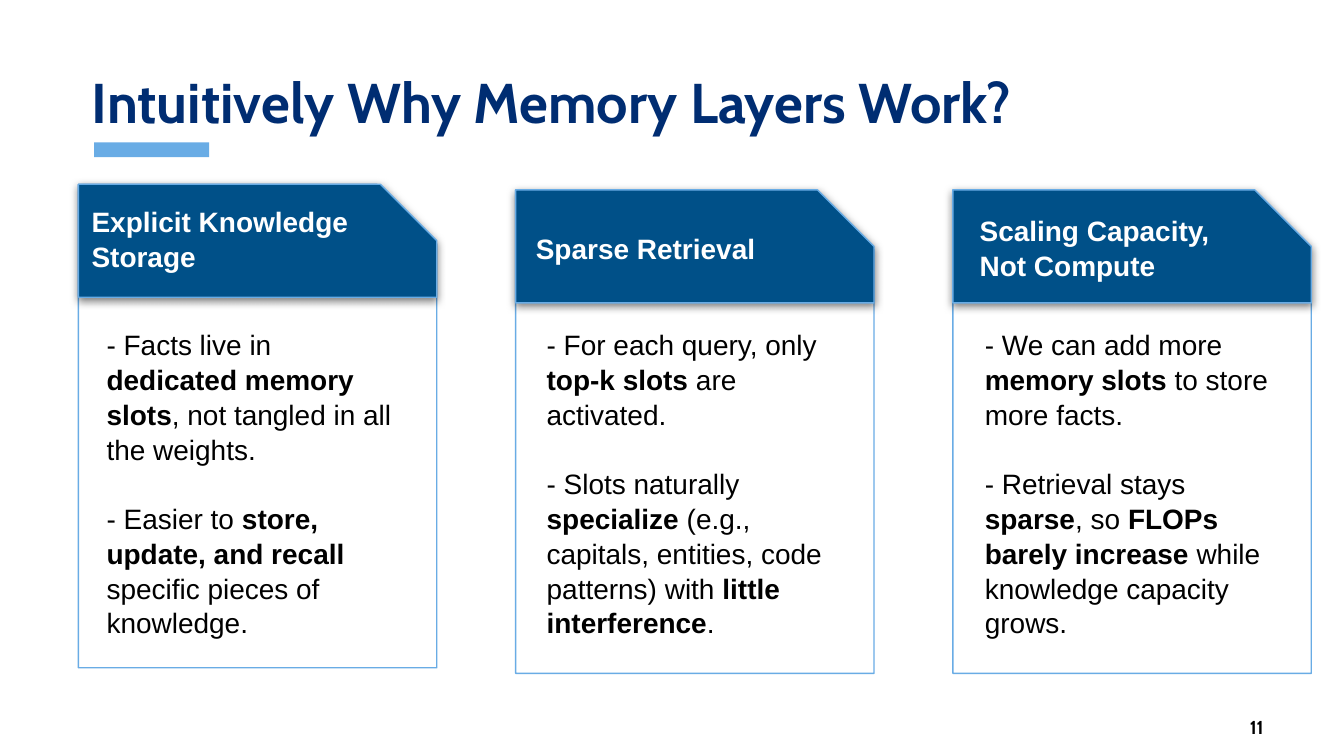
from lxml import etree
from pptx import Presentation
from pptx.dml.color import RGBColor
from pptx.enum.shapes import MSO_SHAPE
from pptx.enum.text import MSO_ANCHOR, MSO_AUTO_SIZE, PP_ALIGN
from pptx.oxml.ns import qn
from pptx.util import Pt

COLORS = {
    "navy": "002D72",
    "header": "005088",
    "sky": "69ACE5",
    "white": "FFFFFF",
    "black": "000000",
}

CARD_LEFT, CARD_STEP = 42, 234.25
CARD_WIDTH, CARD_HEIGHT, HEADER_HEIGHT = 192, 259, 60.5

CARDS = [
    {
        "top": 98.75,
        "header": [[("Explicit Knowledge", True)], [("Storage", True)]],
        "header_offset": (0, 2.75),
        "body_offset": (8, 69),
        "body": [
            [("- Facts live in ", False), ("dedicated memory slots", True),
             (", not tangled in all the weights.", False)],
            [("- Easier to ", False), ("store, update, and recall", True),
             (" specific pieces of knowledge.", False)],
        ],
    },
    {
        "top": 101.75,
        "header": [[("Sparse Retrieval", True)]],
        "header_offset": (3.75, 4.75),
        "body_offset": (9.5, 66),
        "body": [
            [("- For each query, only ", False), ("top-k slots", True),
             (" are activated.", False)],
            [("- Slots naturally ", False), ("specialize", True),
             (" (e.g., capitals, entities, code patterns) with ", False),
             ("little interference", True), (".", False)],
        ],
    },
    {
        "top": 101.75,
        "header": [[("Scaling Capacity, Not Compute", True)]],
        "header_offset": (7.25, 4.75),
        "body_offset": (10, 66),
        "body": [
            [("- We can add more ", False), ("memory slots", True),
             (" to store more facts.", False)],
            [("- Retrieval stays ", False), ("sparse", True), (", so ", False),
             ("FLOPs barely increase", True),
             (" while knowledge capacity grows.", False)],
        ],
    },
]


def color(name):
    return RGBColor.from_string(COLORS[name])


def add_run(paragraph, text, font_name, size, color_name, bold):
    run = paragraph.add_run()
    run.text = text
    run.font.name = font_name
    run.font.size = Pt(size)
    run.font.bold = bold
    run.font.color.rgb = color(color_name)


def set_frame(frame, anchor, side, vertical):
    frame.word_wrap = True
    frame.auto_size = MSO_AUTO_SIZE.NONE
    frame.vertical_anchor = anchor
    frame.margin_left = frame.margin_right = Pt(side)
    frame.margin_top = frame.margin_bottom = Pt(vertical)


def add_card_text(slide, box, paragraphs, color_name, anchor, gap=0):
    frame = slide.shapes.add_textbox(*map(Pt, box)).text_frame
    set_frame(frame, anchor, 7.2, 7.2)
    for index, runs in enumerate(paragraphs):
        paragraph = frame.add_paragraph() if index else frame.paragraphs[0]
        paragraph.line_spacing = 1.04
        if index:
            paragraph.space_before = Pt(gap)
        for text, bold in runs:
            add_run(paragraph, text, "Arial", 15, color_name, bold)


def add_snipped_box(group, box, snip):
    shape = group.shapes.add_shape(MSO_SHAPE.SNIP_1_RECTANGLE, *map(Pt, box))
    shape.adjustments[0] = snip
    shape.shadow.inherit = False
    shape.fill.background()
    shape.line.color.rgb = color("sky")
    shape.line.width = Pt(0.75)
    return shape


def add_drop_shadow(shape):
    effects = shape._element.spPr.find(qn("a:effectLst"))
    shadow = etree.SubElement(effects, qn("a:outerShdw"), blurRad=str(Pt(4.5)),
                              dist=str(Pt(1.5)), dir="5400000", rotWithShape="0")
    tint = etree.SubElement(shadow, qn("a:srgbClr"), val=COLORS["black"])
    etree.SubElement(tint, qn("a:alpha"), val="50000")


def add_card(slide, box, card):
    left, top, width, height = box
    group = slide.shapes.add_group_shape()
    add_snipped_box(group, box, 0.167)
    header = add_snipped_box(group, (left, top, width, HEADER_HEIGHT), 0.5)
    header.fill.solid()
    header.fill.fore_color.rgb = color("header")
    add_drop_shadow(header)
    across, down = card["header_offset"]
    add_card_text(slide, (left + across, top + down, 160.5, 52),
                  card["header"], "white", MSO_ANCHOR.MIDDLE)
    across, down = card["body_offset"]
    add_card_text(slide, (left + across, top + down, 173, 178.5),
                  card["body"], "black", MSO_ANCHOR.TOP, gap=18)


def add_title(slide, box):
    left, top, width, height = box
    title = slide.shapes.title
    title.left, title.top, title.width, title.height = map(Pt, box)
    set_frame(title.text_frame, MSO_ANCHOR.BOTTOM, 7.2, 3.6)
    paragraph = title.text_frame.paragraphs[0]
    paragraph.alignment = PP_ALIGN.LEFT
    paragraph.line_spacing = 0.9
    add_run(paragraph, "Intuitively Why Memory Layers Work?", "Cabin", 30, "navy", True)
    accent = slide.shapes.add_shape(MSO_SHAPE.RECTANGLE, Pt(left + 8.5),
                                    Pt(top + height), Pt(61.5), Pt(8))
    accent.shadow.inherit = False
    accent.fill.solid()
    accent.fill.fore_color.rgb = color("sky")
    accent.line.fill.background()


def add_page_number(slide, box):
    frame = slide.shapes.add_textbox(*map(Pt, box)).text_frame
    set_frame(frame, MSO_ANCHOR.MIDDLE, 7.2, 3.6)
    paragraph = frame.paragraphs[0]
    paragraph.alignment = PP_ALIGN.RIGHT
    add_run(paragraph, "11", "Cabin", 10, "black", True)


def main():
    presentation = Presentation()
    presentation.slide_width, presentation.slide_height = Pt(720), Pt(405)
    slide = presentation.slides.add_slide(presentation.slide_layouts[5])
    add_title(slide, (42, 8.5, 636, 67.75))
    for index, card in enumerate(CARDS):
        left = CARD_LEFT + index * CARD_STEP
        add_card(slide, (left, card["top"], CARD_WIDTH, CARD_HEIGHT), card)
    add_page_number(slide, (621.5, 383, 62.5, 13.5))
    presentation.save("out.pptx")


if __name__ == "__main__":
    main()
